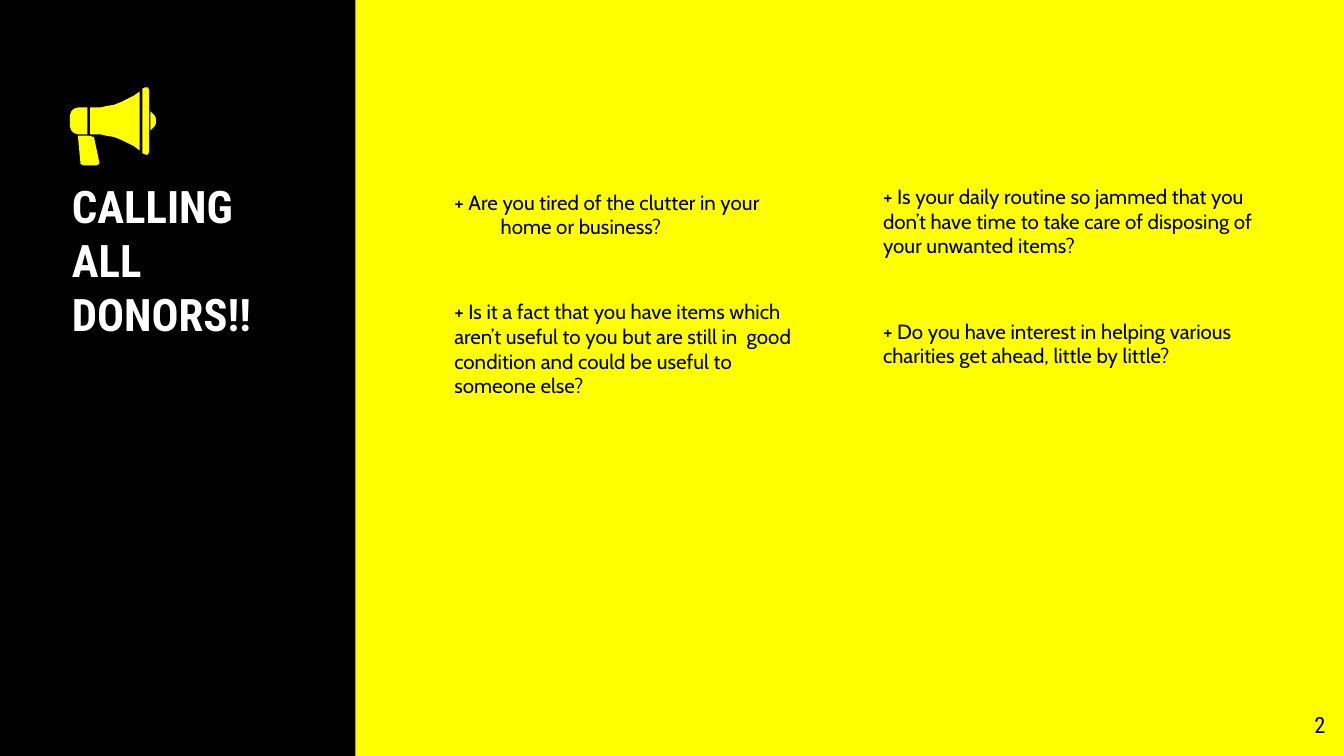
from pptx import Presentation
from pptx.dml.color import RGBColor
from pptx.enum.shapes import MSO_SHAPE
from pptx.enum.text import MSO_ANCHOR, MSO_AUTO_SIZE, PP_ALIGN
from pptx.util import Inches, Pt
from lxml.etree import SubElement

COLORS = {"yellow": "FFFF00", "black": "000000", "white": "FFFFFF"}
CELL = Inches(0.1)  # the slide is a 16:9 grid, 100 columns wide
COLUMNS = 100
ROWS = COLUMNS * 9 / 16
HEADING_FONT, BODY_FONT = "Roboto Condensed", "Cabin"


def write_text(shape, paragraphs, cells, font, size, color="black", bold=False,
               align=PP_ALIGN.LEFT, gap=0, hanging=0):
    """Place a text shape on the grid; gap separates paragraphs, hanging indents the first."""
    shape.left, shape.top, shape.width, shape.height = [round(n * CELL) for n in cells]
    frame = shape.text_frame
    frame.word_wrap, frame.auto_size = True, MSO_AUTO_SIZE.NONE
    frame.vertical_anchor = MSO_ANCHOR.TOP
    frame.margin_left = frame.margin_right = frame.margin_top = frame.margin_bottom = CELL
    for index, text in enumerate(paragraphs):
        paragraph = frame.paragraphs[0] if index == 0 else frame.add_paragraph()
        paragraph.alignment, paragraph.line_spacing = align, 1.0
        paragraph.space_before = Pt(gap if index else 0)
        indent = round(hanging * CELL) if index == 0 else 0
        properties = paragraph._p.get_or_add_pPr()
        properties.set("marL", str(indent))
        properties.set("indent", str(-indent))
        SubElement(properties, properties.tag.replace("pPr", "buNone"))
        run = paragraph.add_run()
        run.text = text
        run.font.name, run.font.size, run.font.bold = font, Pt(size), bold
        run.font.color.rgb = RGBColor.from_string(COLORS[color])


def paint(shape, color):
    shape.shadow.inherit = False
    shape.fill.solid()
    shape.fill.fore_color.rgb = RGBColor.from_string(COLORS[color])
    shape.line.fill.background()


presentation = Presentation()
presentation.slide_width = round(COLUMNS * CELL)
presentation.slide_height = round(ROWS * CELL)
slide = presentation.slides.add_slide(presentation.slide_layouts.get_by_name("Two Content"))
title, left_body, right_body = slide.placeholders

# Yellow background with a black side panel behind the text
slide.background.fill.solid()
slide.background.fill.fore_color.rgb = RGBColor.from_string(COLORS["yellow"])
panel = slide.shapes.add_shape(MSO_SHAPE.RECTANGLE, 0, 0, round(26.45 * CELL),
                               presentation.slide_height)
paint(panel, "black")
title._element.addprevious(panel._element)

# Title
write_text(title, ["CALLING ALL DONORS!!"], (4.35, 12.3, 18.6, 16.2),
           HEADING_FONT, 24, color="white", bold=True)

# Megaphone: upper outlines in hundredths of an inch, mirrored about its axis
AXIS = 90
upper_outlines = {
    "knob": [(112, 83), (114, 85), (115, 86), (116, 88)],
    "back": [(65, 80), (58, 80), (55, 81), (53, 83), (52, 86)],
    "horn": [(104, 68), (100, 71), (96, 73), (90, 76), (85, 78), (79, 79), (75, 80), (67, 80)],
    "rim": [(111, 67), (110, 65), (108, 65), (106, 66)],
}
outlines = [points + [(x, 2 * AXIS - y) for x, y in reversed(points)]
            for points in upper_outlines.values()]
grip = [(58, 101), (60, 122), (62, 123), (72, 123), (74, 122), (74, 121), (70, 102), (66, 101)]
megaphone = slide.shapes.add_group_shape()
for outline in [grip] + outlines:
    builder = megaphone.shapes.build_freeform(*outline[0], scale=CELL / 10)
    builder.add_line_segments(outline[1:], close=True)
    paint(builder.convert_to_shape(), "yellow")

# Two columns of questions
write_text(left_body, [
    "+ Are you tired of the clutter in your home or business?",
    "+ Is it a fact that you have items which aren’t useful to you but are still in  good "
    "condition and could be useful to someone else?",
], (32.8, 13.1, 28, 33.3), BODY_FONT, 11, gap=32.4, hanging=3.45)
write_text(right_body, [
    "+ Is your daily routine so jammed that you don’t have time to take care of disposing of "
    "your unwanted items?",
    "+ Do you have interest in helping various charities get ahead, little by little?",
], (64.7, 12.7, 30.1, 34), BODY_FONT, 11, gap=32.4)

# Page number
page_number = slide.shapes.add_textbox(0, 0, CELL, CELL)
write_text(page_number, ["2"], (93.6, 51.9, 6, 4.3), HEADING_FONT, 12, align=PP_ALIGN.RIGHT)

presentation.save("out.pptx")
